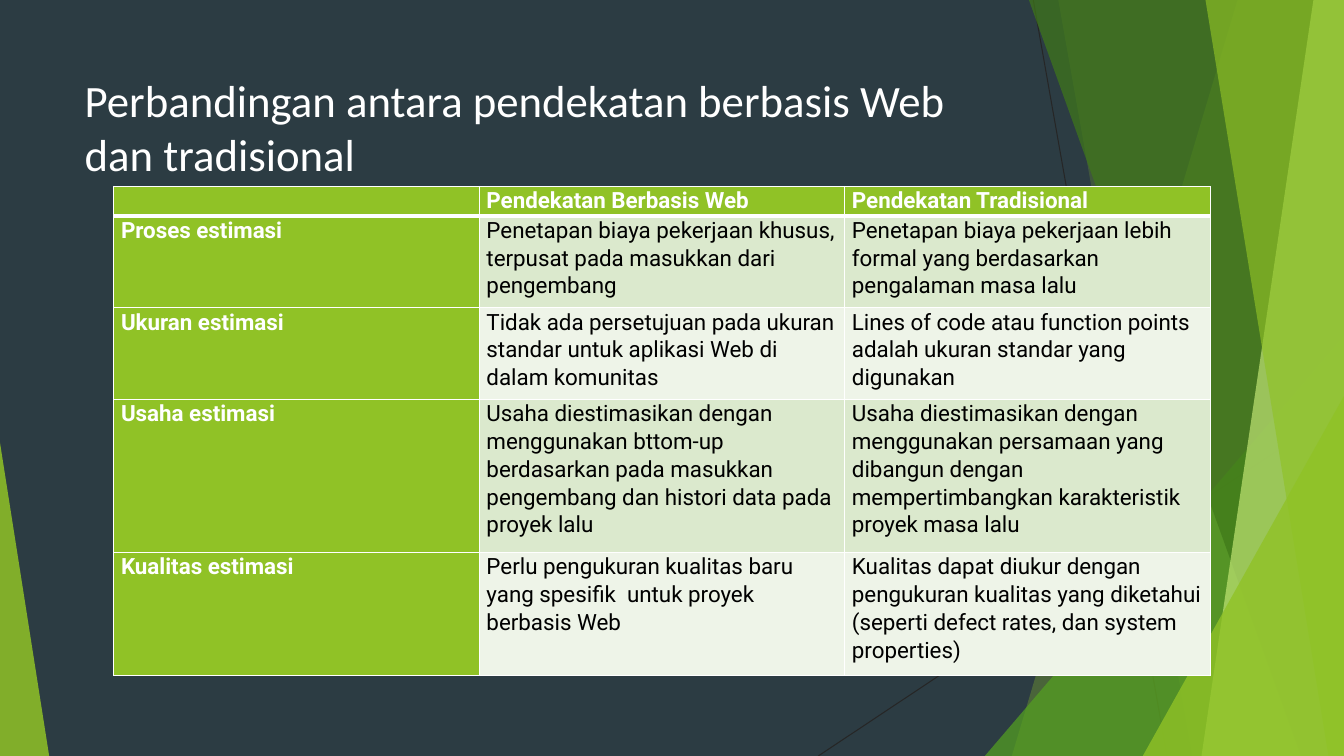
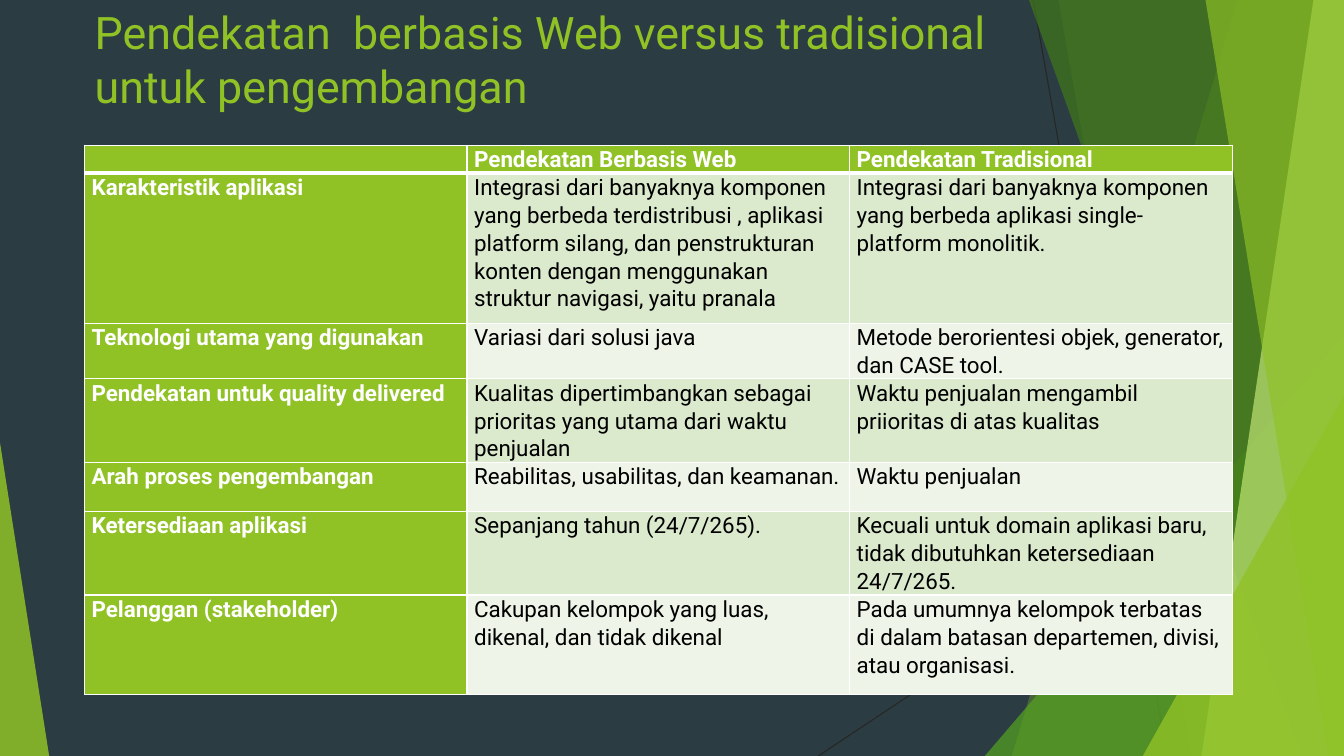
"""Build two slides that compare Web-based and traditional approaches."""
from pptx import Presentation
from pptx.dml.color import RGBColor
from pptx.enum import shapes, text
from pptx.oxml import parse_xml
from pptx.oxml import ns
from pptx.util import Cm, Pt

WIDE, HIGH = 33.87, 19.05
LIME, WHITE, BLACK, DARK = "90C226", "FFFFFF", "000000", "2C3C43"
BANDS = ["DBE9CD", "EEF4E8"]
HEAD = ["", "Pendekatan Berbasis Web", "Pendekatan Tradisional"]

LINES = [(26.04, 0, 29.41, HIGH), (WIDE, 10.24, 20.62, HIGH)]
FACETS = [
    ("edge", (31.19, 25.5), LIME, 30),
    ("edge", (26.67, 30.05), LIME, 20),
    ("tri", (24.82, 8.46, 9.05, 1), "54A021", 72),
    ("edge", (25.93, 32.79), "3F7819", 70),
    ("edge", (33.1, 30.28), "C0E474", 70),
    ("edge", (30.38, 33.48), LIME, 65),
    ("tri", (28.8, 9.98, 5.07, 1), LIME, 80),
    ("tri", (0, 11.15, 1.24, 0), LIME, 85),
]

SLIDES = [
    dict(
        title="Perbandingan antara pendekatan berbasis Web dan tradisional",
        font="Calibri", color=WHITE, spot=(1.88, 1.7),
        table=(2.87, 4.7), col=9.21, rows=[0.74, 2.31, 2.31, 3.86, 3.1],
        body=[
            ("Proses estimasi",
             "Penetapan biaya pekerjaan khusus, terpusat pada masukkan dari pengembang",
             "Penetapan biaya pekerjaan lebih formal yang berdasarkan pengalaman masa lalu"),
            ("Ukuran estimasi",
             "Tidak ada persetujuan pada ukuran standar untuk aplikasi Web di dalam komunitas",
             "Lines of code atau function points adalah ukuran standar yang digunakan"),
            ("Usaha estimasi",
             "Usaha diestimasikan dengan menggunakan bttom-up berdasarkan pada masukkan "
             "pengembang dan histori data pada proyek lalu",
             "Usaha diestimasikan dengan menggunakan persamaan yang dibangun dengan "
             "mempertimbangkan karakteristik proyek masa lalu"),
            ("Kualitas estimasi",
             "Perlu pengukuran kualitas baru yang spesifik  untuk proyek berbasis Web",
             "Kualitas dapat diukur dengan pengukuran kualitas yang diketahui "
             "(seperti defect rates, dan system properties)"),
        ],
    ),
    dict(
        title="Pendekatan  berbasis Web versus tradisional untuk pengembangan",
        font="Roboto", color=LIME, spot=(2.13, 0),
        table=(2.13, 3.66), col=9.64,
        rows=[0.61, 3.78, 1.24, 1.88, 1.24, 1.88, 2.51],
        body=[
            ("Karakteristik aplikasi",
             "Integrasi dari banyaknya komponen yang berbeda terdistribusi , aplikasi platform "
             "silang, dan penstrukturan konten dengan menggunakan struktur navigasi, yaitu pranala",
             "Integrasi dari banyaknya komponen yang berbeda aplikasi single-platform monolitik."),
            ("Teknologi utama yang digunakan",
             "Variasi dari solusi java ",
             "Metode berorientesi objek, generator, dan CASE tool."),
            ("Pendekatan untuk quality delivered",
             "Kualitas dipertimbangkan sebagai prioritas yang utama dari waktu penjualan",
             "Waktu penjualan mengambil priioritas di atas kualitas"),
            ("Arah proses pengembangan",
             "Reabilitas, usabilitas, dan keamanan.",
             "Waktu penjualan"),
            ("Ketersediaan aplikasi",
             "Sepanjang tahun (24/7/265).",
             "Kecuali untuk domain aplikasi baru, tidak dibutuhkan ketersediaan 24/7/265."),
            ("Pelanggan (stakeholder)",
             "Cakupan kelompok yang luas, dikenal, dan tidak dikenal",
             "Pada umumnya kelompok terbatas di dalam batasan departemen, divisi, atau organisasi."),
        ],
    ),
]


def rgb(code):
    return RGBColor.from_string(code)


def xml(tag, inner="", attrs=""):
    return parse_xml(f"<a:{tag} {ns.nsdecls('a')} {attrs}>{inner}</a:{tag}>")


def paint(shape, code, alpha):
    shape.shadow.inherit = False
    shape.line.fill.background()
    shape.fill.solid()
    shape.fill.fore_color.rgb = rgb(code)
    tone = shape.element.spPr.find(ns.qn("a:solidFill"))[0]
    tone.append(xml("alpha", attrs=f'val="{alpha * 1000}"'))


def draw_edge(tree, top, foot):
    pen = tree.build_freeform(Cm(top), 0, scale=1.0)
    pen.add_line_segments([(Cm(WIDE), 0), (Cm(WIDE), Cm(HIGH)), (Cm(foot), Cm(HIGH))])
    return pen.convert_to_shape()


def draw_tri(tree, left, top, wide, peak):
    kind = shapes.MSO_SHAPE.ISOSCELES_TRIANGLE
    tri = tree.add_shape(kind, Cm(left), Cm(top), Cm(wide), Cm(HIGH - top))
    tri.adjustments[0] = peak
    return tri


def decorate(slide, layout):
    fill = layout.background.fill
    fill.solid()
    fill.fore_color.rgb = rgb(DARK)
    parts = []
    for ends in LINES:
        line = slide.shapes.add_connector(shapes.MSO_CONNECTOR.STRAIGHT, *map(Cm, ends))
        line.line.color.rgb = rgb("262626")
        line.line.width = Pt(0.75)
        line.element.spPr.append(xml("effectLst"))
        parts.append(line)
    draw = {"edge": draw_edge, "tri": draw_tri}
    for kind, place, code, alpha in FACETS:
        facet = draw[kind](slide.shapes, *place)
        paint(facet, code, alpha)
        parts.append(facet)
    for spot, part in enumerate(parts, 2):
        layout.shapes.element.insert(spot, part.element)


def set_title(slide, data):
    title = slide.shapes.title
    left, top = data["spot"]
    title.left, title.top, title.width, title.height = map(Cm, (left, top, 23.88, 3.66))
    frame = title.text_frame
    frame.text = data["title"]
    frame.word_wrap = True
    frame.auto_size = text.MSO_AUTO_SIZE.NONE
    frame.vertical_anchor = text.MSO_ANCHOR.TOP
    para = frame.paragraphs[0]
    para.alignment = text.PP_ALIGN.LEFT
    style(para, data["font"], 32, data["color"], False)


def style(para, name, size, code, bold):
    font = para.font
    font.name, font.size, font.bold = name, Pt(size), bold
    font.color.rgb = rgb(code)


def set_cell(cell, words, row, col):
    key = row == 0 or col == 0
    cell.text = words
    cell.margin_left = cell.margin_right = Cm(0.18)
    cell.margin_top = cell.margin_bottom = 0
    para = cell.text_frame.paragraphs[0]
    para.line_spacing = 1.07
    style(para, "Roboto", 16, WHITE if key else BLACK, key)
    thick = {(0, "B"), (1, "T")}
    ink = f'<a:solidFill><a:srgbClr val="{WHITE}"/></a:solidFill>'
    for side in "LRTB":
        wide = Pt(3 if (row, side) in thick else 1)
        cell._tc.get_or_add_tcPr().append(xml(f"ln{side}", ink, f'w="{wide}"'))
    cell.fill.solid()
    cell.fill.fore_color.rgb = rgb(LIME if key else BANDS[(row - 1) % 2])


def add_grid(slide, data):
    cells = [HEAD, *data["body"]]
    size = data["col"] * len(HEAD), sum(data["rows"])
    frame = slide.shapes.add_table(len(cells), len(HEAD), *map(Cm, data["table"] + size))
    grid = frame.table
    for col in grid.columns:
        col.width = Cm(data["col"])
    for row, words in enumerate(cells):
        grid.rows[row].height = Cm(data["rows"][row])
        for col, word in enumerate(words):
            set_cell(grid.cell(row, col), word, row, col)


deck = Presentation()
deck.slide_width, deck.slide_height = Cm(WIDE), Cm(HIGH)
plain = deck.slide_layouts[5]
for num, data in enumerate(SLIDES):
    slide = deck.slides.add_slide(plain)
    if num == 0:
        decorate(slide, plain)
    set_title(slide, data)
    add_grid(slide, data)
deck.save("out.pptx")
